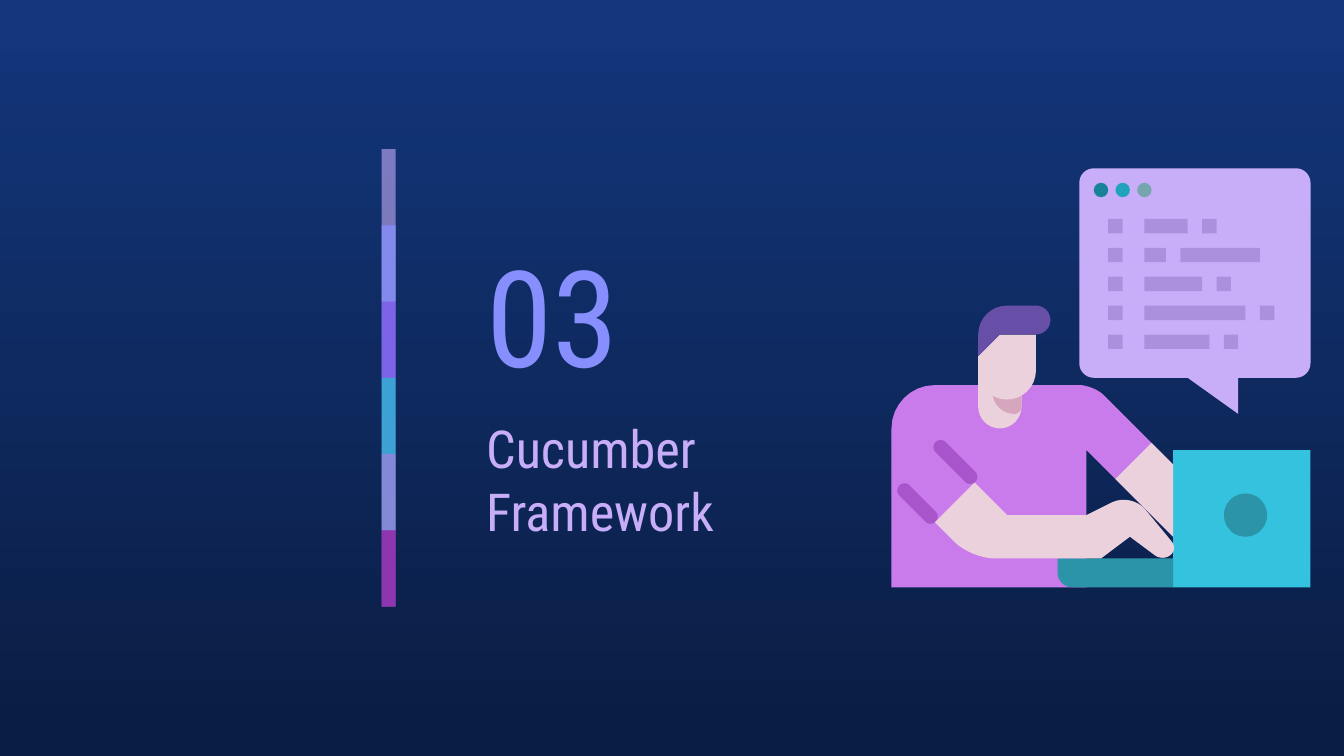
"""Build a section slide with a striped bar, a title and a programmer at a laptop."""
import pptx
import pptx.util
import pptx.dml.color
import pptx.enum.shapes
import pptx.enum.text
from lxml import etree

Pt = pptx.util.Pt
KIND = pptx.enum.shapes.MSO_SHAPE
ANCHOR = pptx.enum.text.MSO_ANCHOR

SKY = ("13367C", "0A1D42")
FONT = "Roboto Condensed"
TEXTS = [
    ("03", (253.4, 119.5, 126, 97.2), 72, "878FFF", ANCHOR.MIDDLE),
    ("Cucumber Framework", (253.4, 216, 206.6, 69.1), 28, "C8AEF8", ANCHOR.TOP),
]
BARS = [("C8AEF8", 59), ("878FFF", 74), ("9154F8", 53),
        ("35C2DF", 76), ("CA7BEB", 56), ("972CB4", 74)]
UNIT, LEFT, TOP = 7.74, 477.6, 90.2
SKIN, LILAC, TEAL = "EAD1DC", "C8AEF8", "2B94A9"
SHIRT = ("CA7BEB", [(0, 15, 3), (0, 29), (13.5, 29), (13.5, 19.5),
                    (19.5, 25.5), (19.5, 20.5), (14, 15, 1)])
FOLDS = [(0.9, 21.6, 2.5), (3.4, 18.6, 2.75)]
PARTS = [
    (TEAL, [(11.5, 27), (11.5, 29, 1), (19.5, 29), (19.5, 27)]),
    (SKIN, [(6, 13.5), (6, 18, 1.5), (9, 18, 1.5), (9, 13.5)]),
    ("D5A6BD", [(7, 13.5), (7, 17, 1.5), (9, 17, 0.5), (9, 13.5)]),
    (SKIN, [(5.75, 21.75), (3, 24.5), (5.5, 27, 1.6), (14.5, 27), (16.5, 25.5),
            (18.65, 27.1, 0.5), (19.95, 26.5, 0.9), (16.6, 22.45, 1.5), (13.5, 24), (8, 24)]),
    (SKIN, [(18, 19), (15.5, 21.5), (19.5, 25.5), (19.5, 20.5)]),
    (LILAC, [(13, 0, 1), (13, 14.5, 1), (20.5, 14.5), (24, 17), (24, 14.5),
             (29, 14.5, 1), (29, 0, 1)]),
    (SKIN, [(7.5, 11.5), (6, 13), (6, 16, 2), (10, 16, 2), (10, 11.5)]),
    ("674EA7", [(6, 9.5, 2), (6, 13), (7.5, 11.5), (10, 11.5), (11, 11.5, 1), (11, 9.5, 1)]),
]
CODE = [(3, 1), (1.5, 5.5), (4, 1), (7, 1), (4.5, 1)]
DOTS = ["198298", "22A2BC", "76A5AF"]


def tint(hue):
    return pptx.dml.color.RGBColor.from_string(hue)


def paint(shape, hue, alpha=100):
    shape.shadow.inherit = False
    shape.fill.solid()
    shape.fill.fore_color.rgb = tint(hue)
    shape.line.fill.background()
    if alpha < 100:
        node = shape.fill._xPr.find(".//" + pptx.oxml.ns.qn("a:srgbClr"))
        etree.SubElement(node, pptx.oxml.ns.qn("a:alpha")).set("val", str(alpha * 1000))


def block(slide, kind, box, hue, alpha=100):
    paint(slide.shapes.add_shape(kind, *map(Pt, box)), hue, alpha)


def cell(slide, kind, x, y, wide, high, hue):
    box = (LEFT + x * UNIT, TOP + y * UNIT, wide * UNIT, high * UNIT)
    block(slide, kind, box, hue)


def toward(a, b, part):
    return tuple(p + (q - p) * part for p, q in zip(a, b))


def bend(last, spot, after, cut, count=8):
    ends = []
    for near in (last, after):
        size = sum((p - q) ** 2 for p, q in zip(near, spot)) ** 0.5
        ends.append(toward(spot, near, cut / size))
    a, d = ends
    b, c = toward(a, spot, 0.55), toward(d, spot, 0.55)
    for i in range(count + 1):
        row = [a, b, c, d]
        while len(row) > 1:
            row = [toward(p, q, i / count) for p, q in zip(row, row[1:])]
        yield row[0]


def outline(slide, hue, turns):
    dots = []
    for i, turn in enumerate(turns):
        spot = turn[:2]
        if len(turn) == 2:
            dots.append(spot)
        else:
            after = turns[(i + 1) % len(turns)][:2]
            dots.extend(bend(turns[i - 1][:2], spot, after, turn[2]))
    dots = [(Pt(LEFT + x * UNIT), Pt(TOP + y * UNIT)) for x, y in dots]
    pen = slide.shapes.build_freeform(*dots[0])
    pen.add_line_segments(dots[1:], close=True)
    paint(pen.convert_to_shape(), hue)


def fold(slide, x, y, size, side=0.7):
    ends = [(x, y), (x + size, y + size), (x + size - side, y + size + side), (x - side, y + side)]
    outline(slide, "A855CB", [(*spot, side * 0.7) for spot in ends])


def label(slide, words, box, size, hue, anchor):
    frame = slide.shapes.add_textbox(*map(Pt, box)).text_frame
    frame.word_wrap = True
    frame.vertical_anchor = anchor
    frame.margin_left = frame.margin_right = Pt(7.2)
    frame.margin_top = frame.margin_bottom = Pt(7.2)
    line = frame.paragraphs[0]
    line.text = words
    line.font.name, line.font.size = FONT, Pt(size)
    line.font.color.rgb = tint(hue)


def main():
    deck = pptx.Presentation()
    deck.slide_width, deck.slide_height = Pt(720), Pt(405)
    slide = deck.slides.add_slide(deck.slide_layouts[6])
    back = slide.background.fill
    back.gradient()
    back.gradient_angle = 270
    for stop, hue in zip(back.gradient_stops, SKY):
        stop.color.rgb = tint(hue)

    for item in TEXTS:
        label(slide, *item)
    outline(slide, *SHIRT)
    for item in FOLDS:
        fold(slide, *item)
    cell(slide, KIND.RECTANGLE, 19.5, 19.5, 9.5, 9.5, "35C2DF")
    for part in PARTS:
        outline(slide, *part)
    cell(slide, KIND.OVAL, 23, 22.5, 3, 3, TEAL)

    for row, widths in enumerate(CODE):
        y = 3.5 + row * 2
        cell(slide, KIND.RECTANGLE, 15, y, 1, 1, "AB90DE")
        x = 17.5
        for width in widths:
            cell(slide, KIND.RECTANGLE, x, y, width, 1, "AB90DE")
            x += width + 1
    for i, hue in enumerate(DOTS):
        cell(slide, KIND.OVAL, 14 + i * 1.5, 1, 1, 1, hue)

    step = 40.86
    for i, (hue, alpha) in enumerate(BARS):
        high = step * min(2, len(BARS) - i)
        block(slide, KIND.RECTANGLE, (204.5, 79.9 + i * step, 7.5, high), hue, alpha)
    deck.save("out.pptx")


if __name__ == "__main__":
    main()
